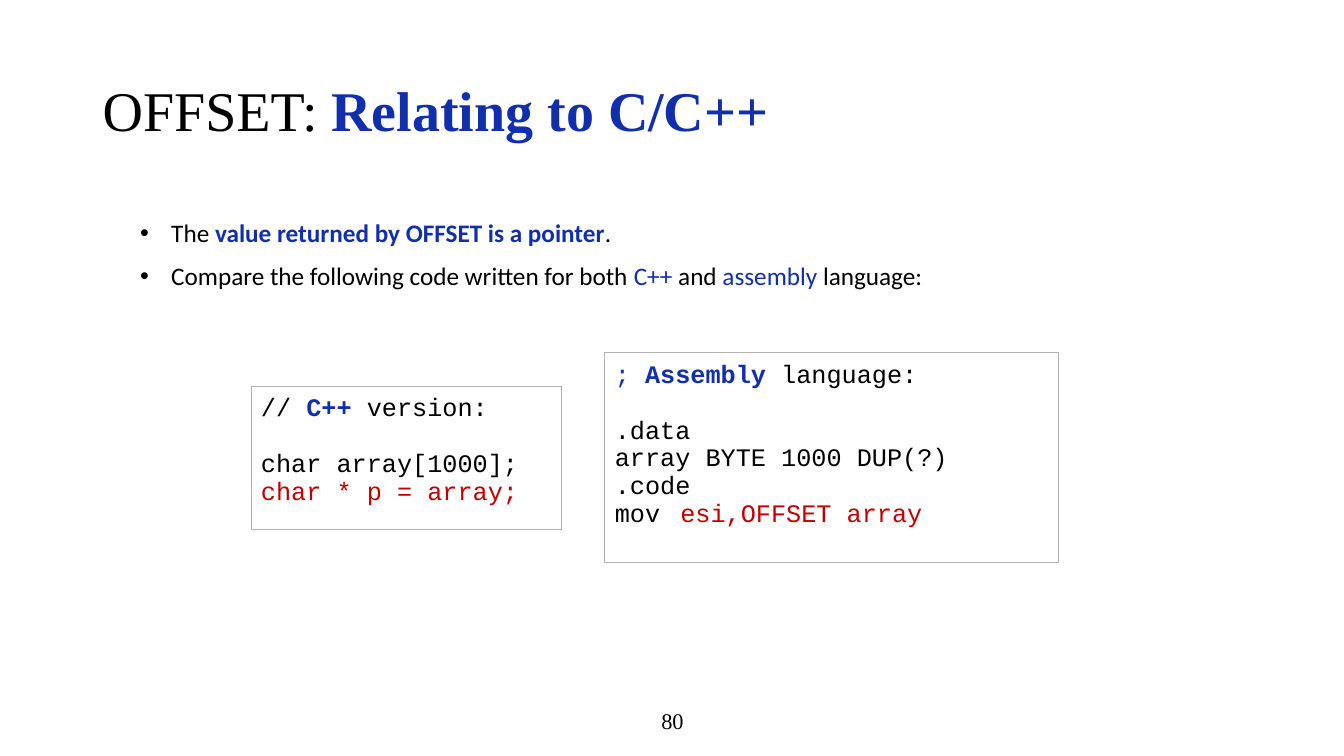
import dataclasses

import pptx
import pptx.dml.color
import pptx.enum.shapes
import pptx.enum.text
import pptx.oxml.ns
import pptx.util
from lxml import etree

PX = 9144  # EMU per px, 100 px to the inch
HUES = {"ink": "000000", "blue": "112EAC", "red": "C00000", "edge": "B2B2B2"}
SERIF, SANS, MONO = "Times New Roman", "Calibri", "Courier New"
PITCH = 19.8  # height of a code line, points
ANCHOR = pptx.enum.text.MSO_ANCHOR
ALIGN = pptx.enum.text.PP_ALIGN


@dataclasses.dataclass
class Run:
    text: str
    hue: str = "ink"
    bold: bool = False


@dataclasses.dataclass
class Line:
    runs: list[Run]
    before: float = 0


@dataclasses.dataclass
class Panel:
    box: tuple[int, int, int, int]
    lines: list[Line]


def color(name: str) -> pptx.dml.color.RGBColor:
    return pptx.dml.color.RGBColor.from_string(HUES[name])


def place(box: tuple[int, int, int, int]) -> list[int]:
    return [side * PX for side in box]


def add_mark(para, tag: str, **attrs: str):
    """Append a child to the paragraph properties."""
    props = para._p.get_or_add_pPr()
    return etree.SubElement(props, pptx.oxml.ns.qn(tag), attrs)


def write(shape, lines: list[Line], *, font: str, size: int,
          anchor=ANCHOR.TOP, align=ALIGN.LEFT, pad: tuple[int, int] = (5, 5),
          spacing=None, indent: int = 0, tab: int = 0) -> None:
    frame = shape.text_frame
    frame.word_wrap = True
    frame.vertical_anchor = anchor
    frame.margin_top, frame.margin_bottom = (side * PX for side in pad)
    for i, line in enumerate(lines):
        para = frame.add_paragraph() if i else frame.paragraphs[0]
        para.alignment = align
        para.space_before = pptx.util.Pt(line.before)
        if spacing:
            para.line_spacing = spacing
        if indent:
            props = para._p.get_or_add_pPr()
            props.set("marL", str(indent * PX))
            props.set("indent", str(-indent * PX))
            add_mark(para, "a:buFont", typeface="Arial")
            add_mark(para, "a:buChar", char="•")
        if tab:
            stops = add_mark(para, "a:tabLst")
            etree.SubElement(stops, pptx.oxml.ns.qn("a:tab"),
                             pos=str(tab * PX), algn="l")
        for part in line.runs:
            run = para.add_run()
            run.text = part.text
            run.font.name = font
            run.font.size = pptx.util.Pt(size)
            run.font.bold = part.bold
            run.font.color.rgb = color(part.hue)


def add_code(slide, panel: Panel) -> None:
    shape = slide.shapes.add_shape(
        pptx.enum.shapes.MSO_SHAPE.RECTANGLE, *place(panel.box))
    shape.shadow.inherit = False
    shape.fill.background()
    shape.line.color.rgb = color("edge")
    shape.line.width = pptx.util.Pt(0.75)
    write(shape, panel.lines, font=MONO, size=18, pad=(8, 15),
          spacing=pptx.util.Pt(PITCH), tab=50)


TITLE = [Line([Run("OFFSET: "), Run("Relating to C/C++", "blue", True)])]

POINTS = [
    Line([Run("The "),
          Run("value returned by OFFSET is a pointer", "blue", True),
          Run(".")]),
    Line([Run("Compare the following code written for both "),
          Run("C++ ", "blue"), Run("and "), Run("assembly", "blue"),
          Run(" language:")], 9),
]

PANELS = [
    Panel((249, 383, 308, 142), [
        Line([Run("// "), Run("C++ ", "blue", True), Run("version:")]),
        Line([Run("char array[1000];")], PITCH),
        Line([Run("char * p = array;", "red")]),
    ]),
    Panel((600, 350, 450, 208), [
        Line([Run("; ", "blue"), Run("Assembly ", "blue", True),
              Run("language:")]),
        Line([Run(".data")], PITCH),
        Line([Run("array BYTE 1000 DUP(?)")]),
        Line([Run(".code")]),
        Line([Run("mov\t "), Run("esi,OFFSET array", "red")]),
    ]),
]


def main() -> None:
    deck = pptx.Presentation()
    deck.slide_width, deck.slide_height = 1333 * PX, 750 * PX
    slide = deck.slides.add_slide(deck.slide_layouts[6])
    shapes = slide.shapes

    # Title
    write(shapes.add_textbox(*place((92, 40, 1150, 145))), TITLE,
          font=SERIF, size=40, anchor=ANCHOR.MIDDLE, spacing=0.9)

    # Bullet points
    write(shapes.add_textbox(*place((129, 201, 941, 106))), POINTS,
          font=SANS, size=18, pad=(15, 15), indent=31)

    # Code panels
    for panel in PANELS:
        add_code(slide, panel)

    # Page number
    write(shapes.add_textbox(*place((442, 695, 450, 40))),
          [Line([Run("80")])], font=SERIF, size=16,
          anchor=ANCHOR.MIDDLE, align=ALIGN.CENTER)

    deck.save("out.pptx")


if __name__ == "__main__":
    main()
